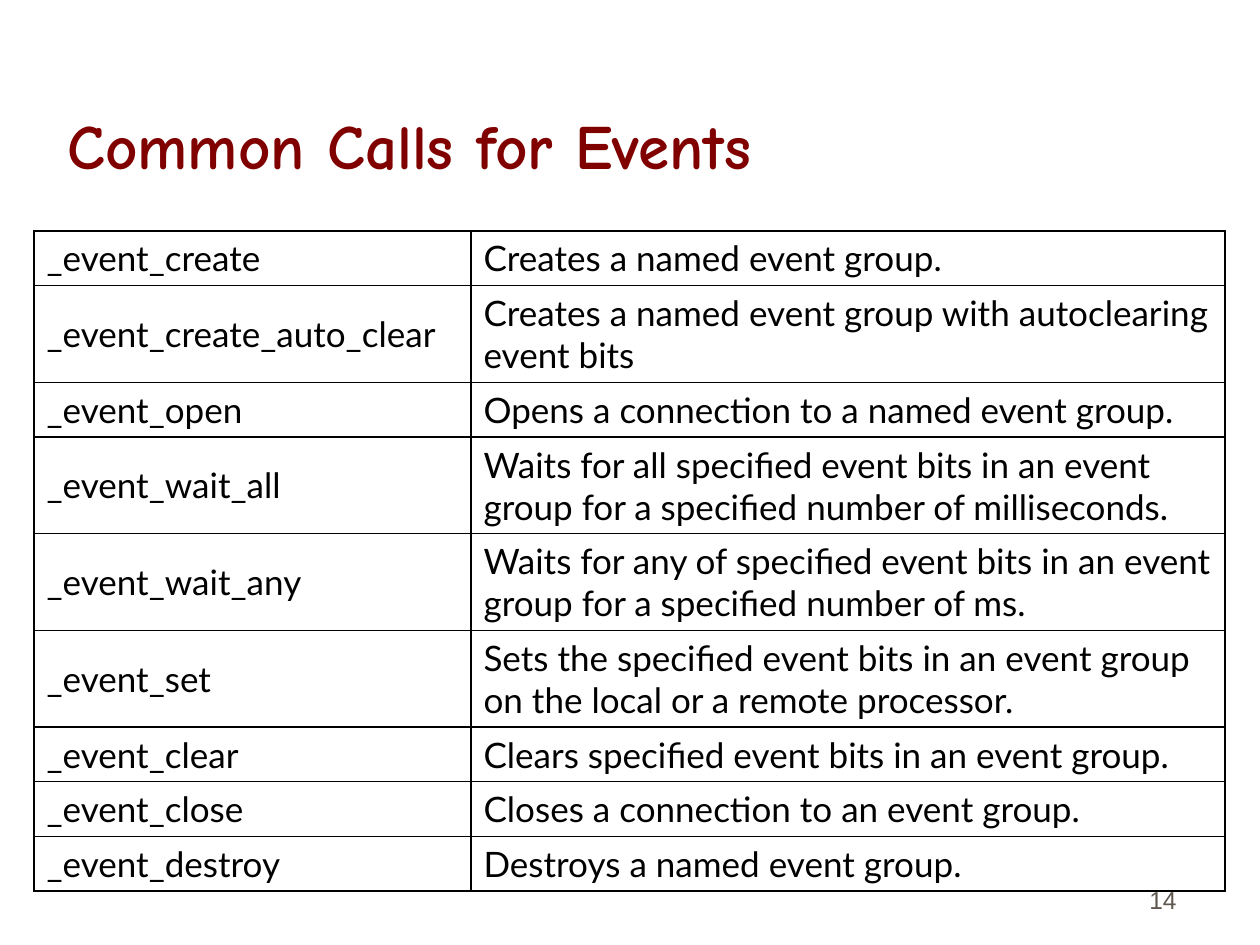
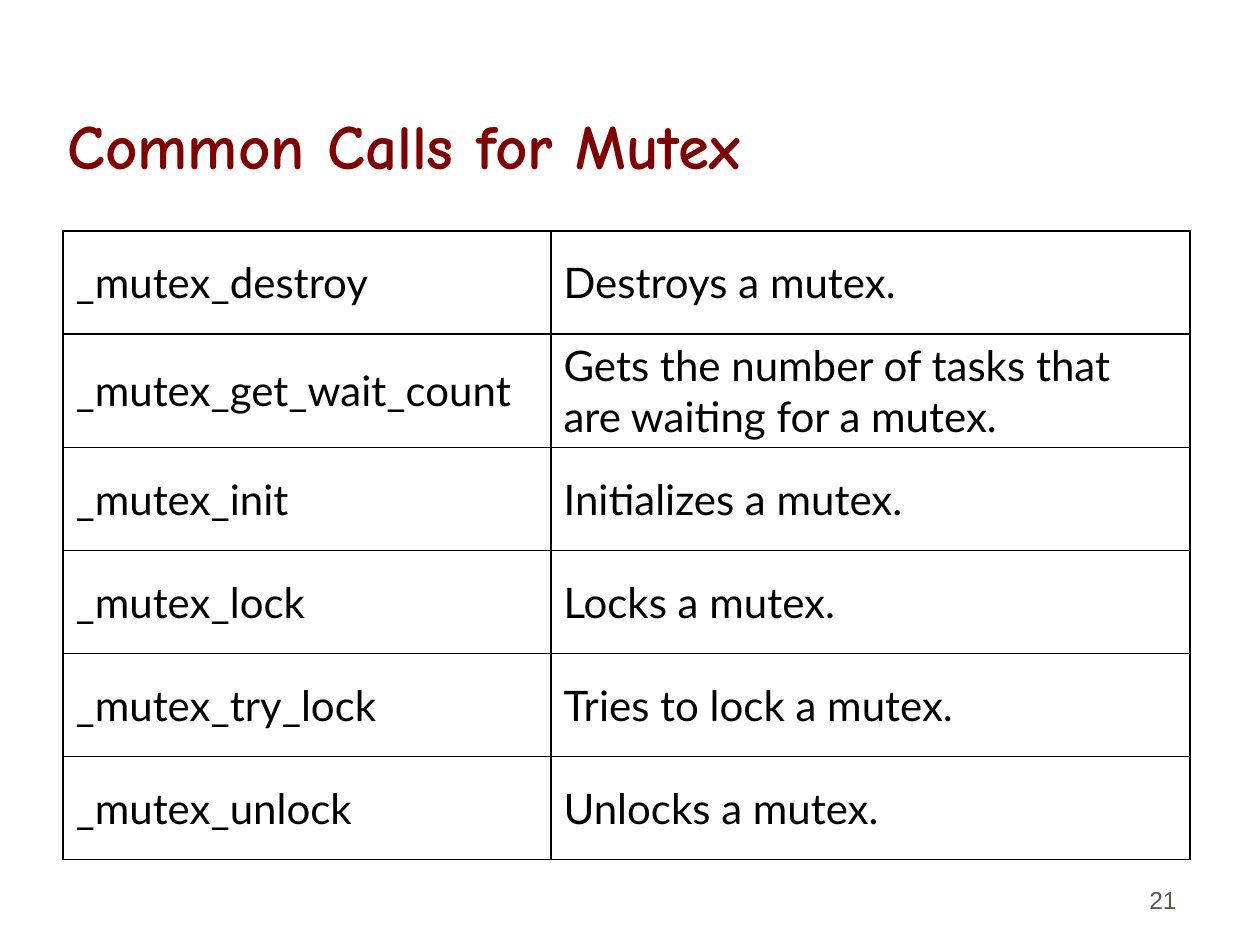
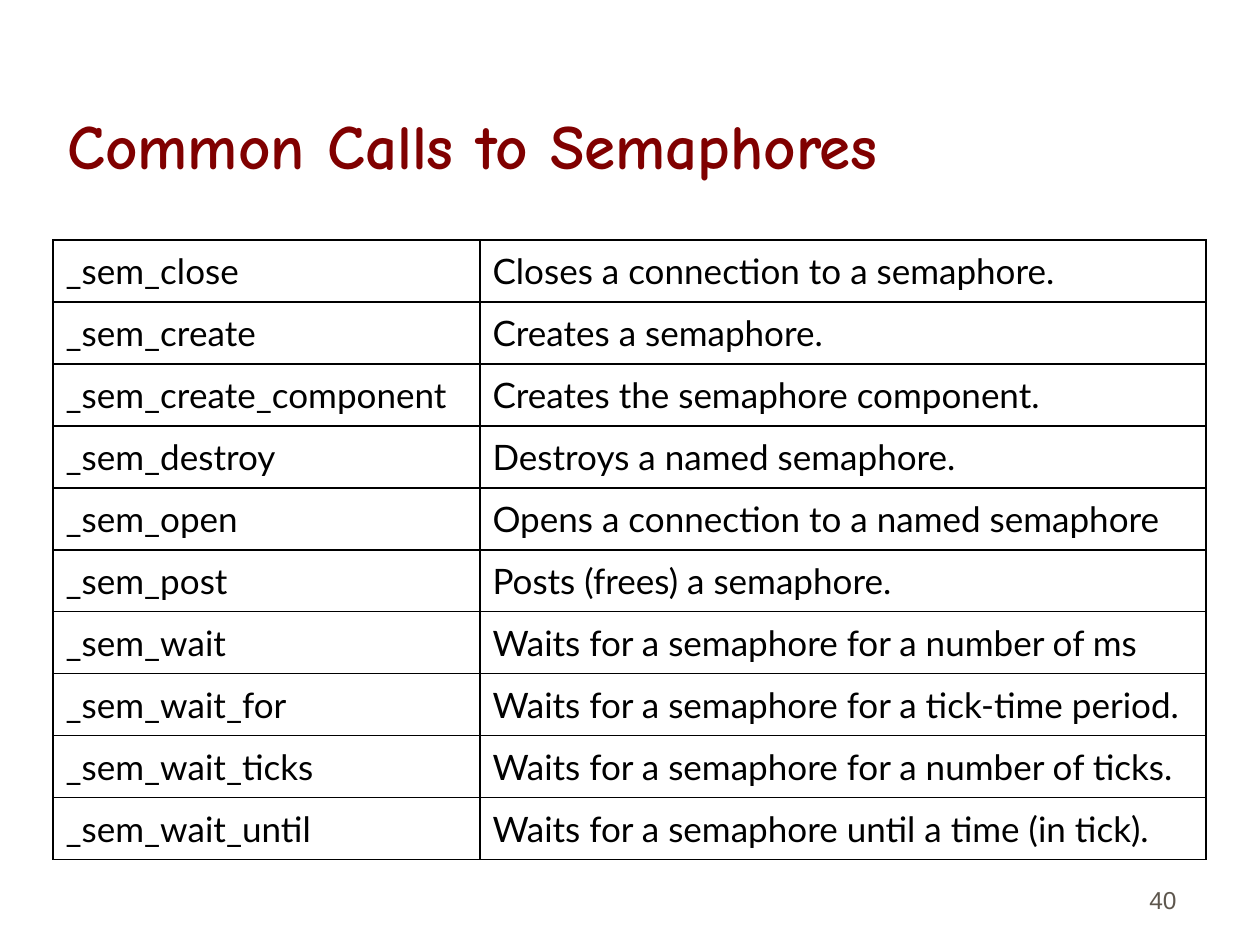
import dataclasses

import lxml.etree
import pptx
import pptx.dml.color
import pptx.enum.text
import pptx.oxml.ns
import pptx.util

PIXELS_PER_INCH = 126
COLORS = {"title": "800000", "number": "5E574E", "text": "000000", "border": "000000", "cell": "FFFFFF"}


@dataclasses.dataclass(frozen=True)
class Box:
    left: int
    top: int
    width: int
    height: int


@dataclasses.dataclass(frozen=True)
class TextStyle:
    font: str
    size: int
    color: str
    bold: bool = False


@dataclasses.dataclass(frozen=True)
class CallSlide:
    title: str
    number: int
    table_box: Box
    name_width: int
    row_height: int
    text_size: int
    calls: tuple[tuple[str, str], ...]


TITLE_BOX = Box(55, 31, 1130, 158)
NUMBER_BOX = Box(927, 858, 262, 63)
TITLE_STYLE = TextStyle("Comic Neue", 36, "title", True)
NUMBER_STYLE = TextStyle("Arial", 14, "number")

CALL_SLIDES = (
    CallSlide("Common Calls for Events", 14, Box(34, 231, 1191, 659), 437, 31, 20, (
        ("_event_create", "Creates a named event group."),
        ("_event_create_auto_clear", "Creates a named event group with autoclearing event bits"),
        ("_event_open", "Opens a connection to a named event group."),
        ("_event_wait_all", "Waits for all specified event bits in an event group for a specified number of milliseconds."),
        ("_event_wait_any", "Waits for any of specified event bits in an event group for a specified number of ms."),
        ("_event_set", "Sets the specified event bits in an event group on the local or a remote processor."),
        ("_event_clear", "Clears specified event bits in an event group."),
        ("_event_close", "Closes a connection to an event group."),
        ("_event_destroy", "Destroys a named event group."),
    )),
    CallSlide("Common Calls for Mutex", 21, Box(63, 231, 1127, 630), 488, 103, 24, (
        ("_mutex_destroy", "Destroys a mutex."),
        ("_mutex_get_wait_count", "Gets the number of tasks that are waiting for a mutex."),
        ("_mutex_init", "Initializes a mutex."),
        ("_mutex_lock", "Locks a mutex."),
        ("_mutex_try_lock", "Tries to lock a mutex."),
        ("_mutex_unlock", "Unlocks a mutex."),
    )),
    CallSlide("Common Calls to Semaphores", 40, Box(53, 240, 1153, 620), 427, 62, 20, (
        ("_sem_close", "Closes a connection to a semaphore."),
        ("_sem_create", "Creates a semaphore."),
        ("_sem_create_component", "Creates the semaphore component."),
        ("_sem_destroy", "Destroys a named semaphore."),
        ("_sem_open", "Opens a connection to a named semaphore"),
        ("_sem_post", "Posts (frees) a semaphore."),
        ("_sem_wait", "Waits for a semaphore for a number of ms"),
        ("_sem_wait_for", "Waits for a semaphore for a tick-time period."),
        ("_sem_wait_ticks", "Waits for a semaphore for a number of ticks."),
        ("_sem_wait_until", "Waits for a semaphore until a time (in tick)."),
    )),
)


def px(length: int) -> pptx.util.Emu:
    return pptx.util.Emu(round(length * 914400 / PIXELS_PER_INCH))


def place(box: Box) -> tuple[pptx.util.Emu, ...]:
    return px(box.left), px(box.top), px(box.width), px(box.height)


def color(name: str) -> pptx.dml.color.RGBColor:
    return pptx.dml.color.RGBColor.from_string(COLORS[name])


def style_paragraph(paragraph, style: TextStyle) -> None:
    paragraph.font.name = style.font
    paragraph.font.size = pptx.util.Pt(style.size)
    paragraph.font.bold = style.bold
    paragraph.font.color.rgb = color(style.color)


def add_text(slide, box: Box, text: str, style: TextStyle):
    frame = slide.shapes.add_textbox(*place(box)).text_frame
    frame.word_wrap = True
    frame.vertical_anchor = pptx.enum.text.MSO_ANCHOR.BOTTOM
    paragraph = frame.paragraphs[0]
    paragraph.text = text
    style_paragraph(paragraph, style)
    return paragraph


def add_borders(cell) -> None:
    qn = pptx.oxml.ns.qn
    properties = cell._tc.get_or_add_tcPr()
    for index, side in enumerate(("lnL", "lnR", "lnT", "lnB")):
        line = lxml.etree.Element(qn(f"a:{side}"), w=str(pptx.util.Pt(1)))
        fill = lxml.etree.SubElement(line, qn("a:solidFill"))
        lxml.etree.SubElement(fill, qn("a:srgbClr"), val=COLORS["border"])
        properties.insert(index, line)


def add_call_table(slide, content: CallSlide) -> None:
    box = content.table_box
    shape = slide.shapes.add_table(len(content.calls), 2, *place(box))
    table = shape.table
    table.first_row = False
    table.horz_banding = False
    table.columns[0].width = px(content.name_width)
    table.columns[1].width = px(box.width - content.name_width)
    style = TextStyle("Lato", content.text_size, "text")
    for row, call in zip(table.rows, content.calls):
        row.height = px(content.row_height)
        for cell, text in zip(row.cells, call):
            cell.text = text
            cell.vertical_anchor = pptx.enum.text.MSO_ANCHOR.MIDDLE
            cell.fill.solid()
            cell.fill.fore_color.rgb = color("cell")
            style_paragraph(cell.text_frame.paragraphs[0], style)
            add_borders(cell)
    shape.height = px(box.height)


def add_call_slide(presentation, content: CallSlide) -> None:
    slide = presentation.slides.add_slide(presentation.slide_layouts[6])
    number = add_text(slide, NUMBER_BOX, str(content.number), NUMBER_STYLE)
    number.alignment = pptx.enum.text.PP_ALIGN.RIGHT
    title = add_text(slide, TITLE_BOX, content.title, TITLE_STYLE)
    title.line_spacing = 0.85
    add_call_table(slide, content)


def main() -> None:
    presentation = pptx.Presentation()
    presentation.slide_width = px(1260)
    presentation.slide_height = px(945)
    for content in CALL_SLIDES:
        add_call_slide(presentation, content)
    presentation.save("out.pptx")


if __name__ == "__main__":
    main()
